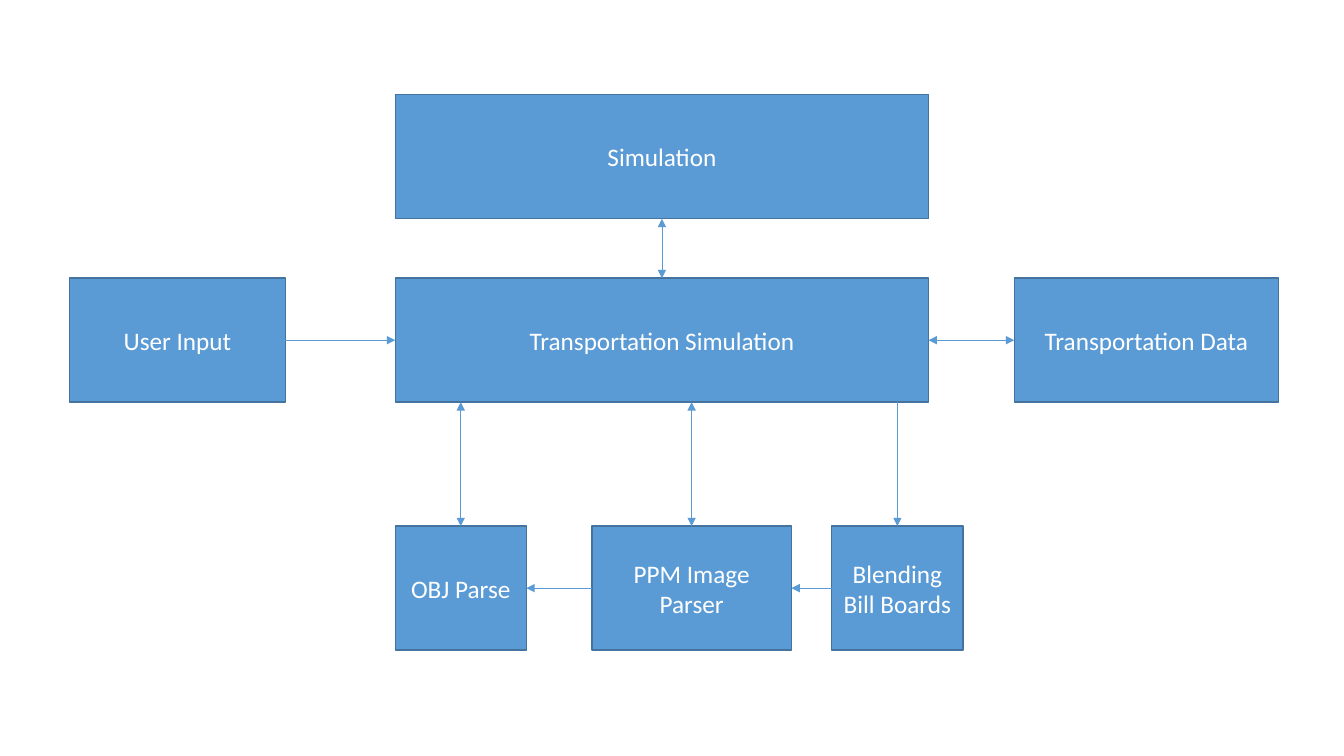
from pptx import Presentation
from pptx.dml.color import RGBColor
from pptx.enum.shapes import MSO_CONNECTOR as Conn, MSO_SHAPE as Shape
from pptx.enum.text import MSO_ANCHOR as Anchor, PP_ALIGN as Align
from pptx.oxml.ns import qn
from pptx.util import Inches, Pt
from lxml.etree import SubElement

BLUE, EDGE, WHITE = "5B9BD5", "43739E", "FFFFFF"
HIGH = 1.23
TOP, MID, LOW = 0.94, 2.76, 5.22
LEFT, WIDE = 3.92, 5.29
NORTH, WEST, SOUTH, EAST = range(4)

deck = Presentation()
deck.slide_width, deck.slide_height = Inches(13.33), Inches(7.5)
slide = deck.slides.add_slide(deck.slide_layouts[6])


def add_box(text, x, y, width, size=18, font="Calibri", fill=BLUE, line=EDGE, color=WHITE):
    """Add a box with centred text and return it."""
    box = slide.shapes.add_shape(
        Shape.RECTANGLE, Inches(x), Inches(y), Inches(width), Inches(HIGH))
    box.shadow.inherit = False
    box.fill.solid()
    box.fill.fore_color.rgb = RGBColor.from_string(fill)
    box.line.color.rgb = RGBColor.from_string(line)
    box.line.width = Pt(1)
    frame = box.text_frame
    frame.word_wrap = True
    frame.vertical_anchor = Anchor.MIDDLE
    para = frame.paragraphs[0]
    para.alignment = Align.CENTER
    run = para.add_run()
    run.text = text
    run.font.size, run.font.name = Pt(size), font
    run.font.color.rgb = RGBColor.from_string(color)
    return box


def add_arrow(start, exit_side, end, entry_side, both=False):
    """Link two boxes; a vertical arrow stands over the middle of the end box."""
    x = end.left + end.width // 2
    y = start.top + start.height
    arrow = slide.shapes.add_connector(Conn.STRAIGHT, x, y, x, end.top)
    if exit_side != SOUTH:
        arrow.begin_connect(start, exit_side)
    arrow.end_connect(end, entry_side)
    arrow.line.color.rgb = RGBColor.from_string(BLUE)
    arrow.line.width = Pt(0.5)
    line = arrow.line._get_or_add_ln()
    for tag in ("a:headEnd", "a:tailEnd") if both else ("a:tailEnd",):
        SubElement(line, qn(tag), type="triangle")
    SubElement(arrow._element.spPr, qn("a:effectLst"))


main = add_box("Transportation Simulation", LEFT, MID, WIDE)
sim = add_box("Simulation", LEFT, TOP, WIDE)
data = add_box("Transportation Data", 10.06, MID, 2.62)
user = add_box("User Input", 0.69, MID, 2.14)
obj = add_box("OBJ Parse", LEFT, LOW, 1.3)
ppm = add_box("PPM Image Parser", 5.87, LOW, 1.98)
blend = add_box("Blending Bill Boards", 8.25, LOW, 1.3)

add_arrow(sim, SOUTH, main, NORTH, both=True)
add_arrow(main, EAST, data, WEST, both=True)
add_arrow(user, EAST, main, WEST)
for part in (obj, ppm, blend):
    add_arrow(main, SOUTH, part, NORTH, both=part is not blend)
for start, end in ((ppm, obj), (blend, ppm)):
    add_arrow(start, WEST, end, EAST)

deck.save("out.pptx")
